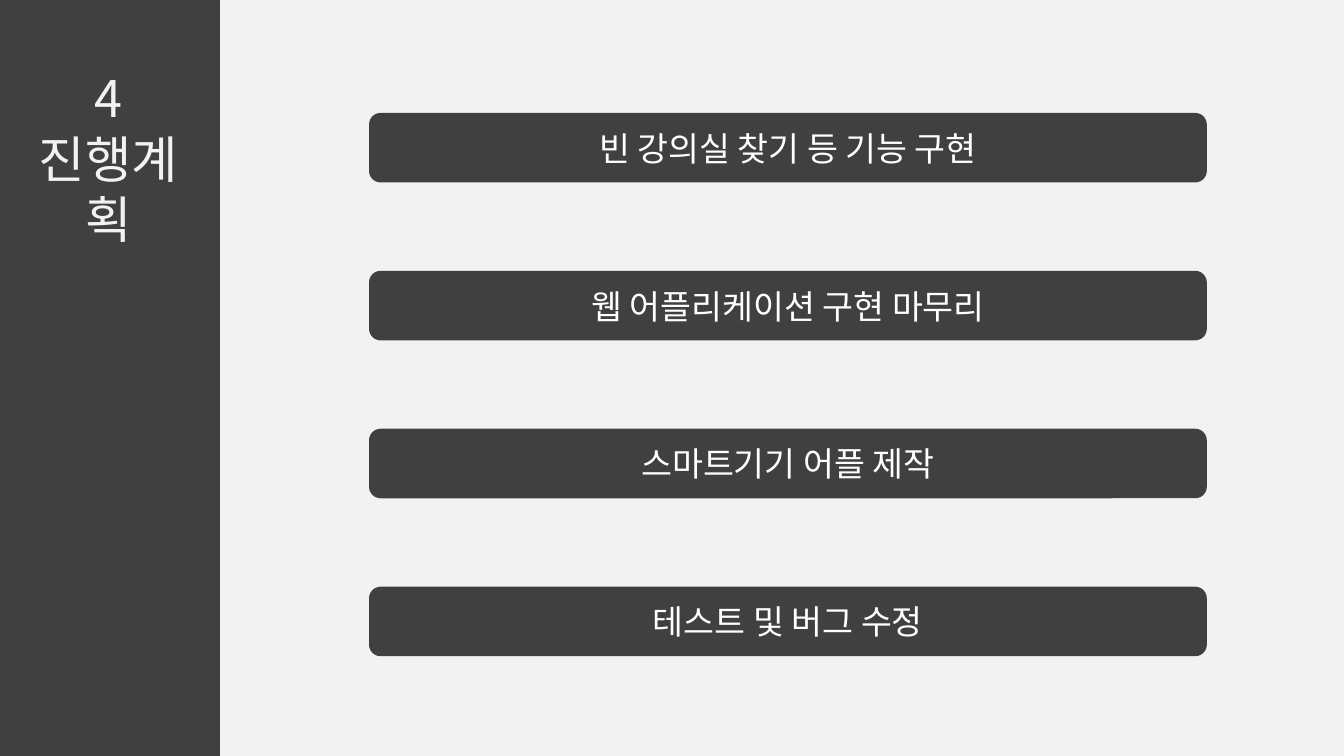
from dataclasses import dataclass

from lxml import etree
from pptx import Presentation
from pptx.dml.color import RGBColor
from pptx.enum.shapes import MSO_SHAPE
from pptx.enum.text import MSO_ANCHOR, PP_ALIGN
from pptx.oxml.ns import qn
from pptx.util import Inches, Pt

RECTANGLE = MSO_SHAPE.RECTANGLE
ROUNDED = MSO_SHAPE.ROUNDED_RECTANGLE
MIDDLE = MSO_ANCHOR.MIDDLE
TOP = MSO_ANCHOR.TOP
CENTER = PP_ALIGN.CENTER


@dataclass(frozen=True)
class Theme:
    paper: RGBColor = RGBColor(0xF2, 0xF2, 0xF2)
    dark: RGBColor = RGBColor(0x40, 0x40, 0x40)
    white: RGBColor = RGBColor(0xFF, 0xFF, 0xFF)
    font: str = "Noto Sans CJK KR"
    title_size: int = 36
    step_size: int = 24


THEME = Theme()


def add_panel(page, kind, box):
    panel = page.shapes.add_shape(kind, *map(Inches, box))
    panel.shadow.inherit = False
    panel.fill.solid()
    panel.fill.fore_color.rgb = THEME.dark
    panel.line.fill.background()
    return panel


def write(frame, lines, size, color, anchor):
    frame.word_wrap = True
    frame.vertical_anchor = anchor
    for index, line in enumerate(lines):
        para = frame.add_paragraph() if index else frame.paragraphs[0]
        para.alignment = CENTER
        span = para.add_run()
        span.text = line
        span.font.size = Pt(size)
        span.font.color.rgb = color
        span.font.name = THEME.font
        east_asian = etree.SubElement(span.font._element, qn("a:ea"))
        east_asian.set("typeface", THEME.font)


def add_sidebar(page, box, lines):
    left, top, width, height = box
    add_panel(page, RECTANGLE, box)
    title_box = (left + 0.07, top + 0.62, width - 0.17, 1.31)
    title = page.shapes.add_textbox(*map(Inches, title_box))
    write(title.text_frame, lines, THEME.title_size, THEME.paper, TOP)


def add_steps(page, box, steps):
    left, top, width, height = box
    bar_height = 0.69
    pitch = (height - bar_height) / (len(steps) - 1)
    for index, step in enumerate(steps):
        bar = add_panel(page, ROUNDED, (left, top + index * pitch, width, bar_height))
        write(bar.text_frame, [step], THEME.step_size, THEME.white, MIDDLE)


def build_plan_page(deck):
    page = deck.slides.add_slide(deck.slide_layouts[6])
    page.background.fill.solid()
    page.background.fill.fore_color.rgb = THEME.paper
    add_sidebar(page, (0, 0, 2.18, 7.5), ["4", "진행계획"])
    add_steps(page, (3.66, 1.12, 8.31, 5.39), [
        "빈 강의실 찾기 등 기능 구현",
        "웹 어플리케이션 구현 마무리",
        "스마트기기 어플 제작",
        "테스트 및 버그 수정",
    ])


deck = Presentation()
deck.slide_width = Inches(13.33)
deck.slide_height = Inches(7.5)
build_plan_page(deck)
deck.save("out.pptx")
